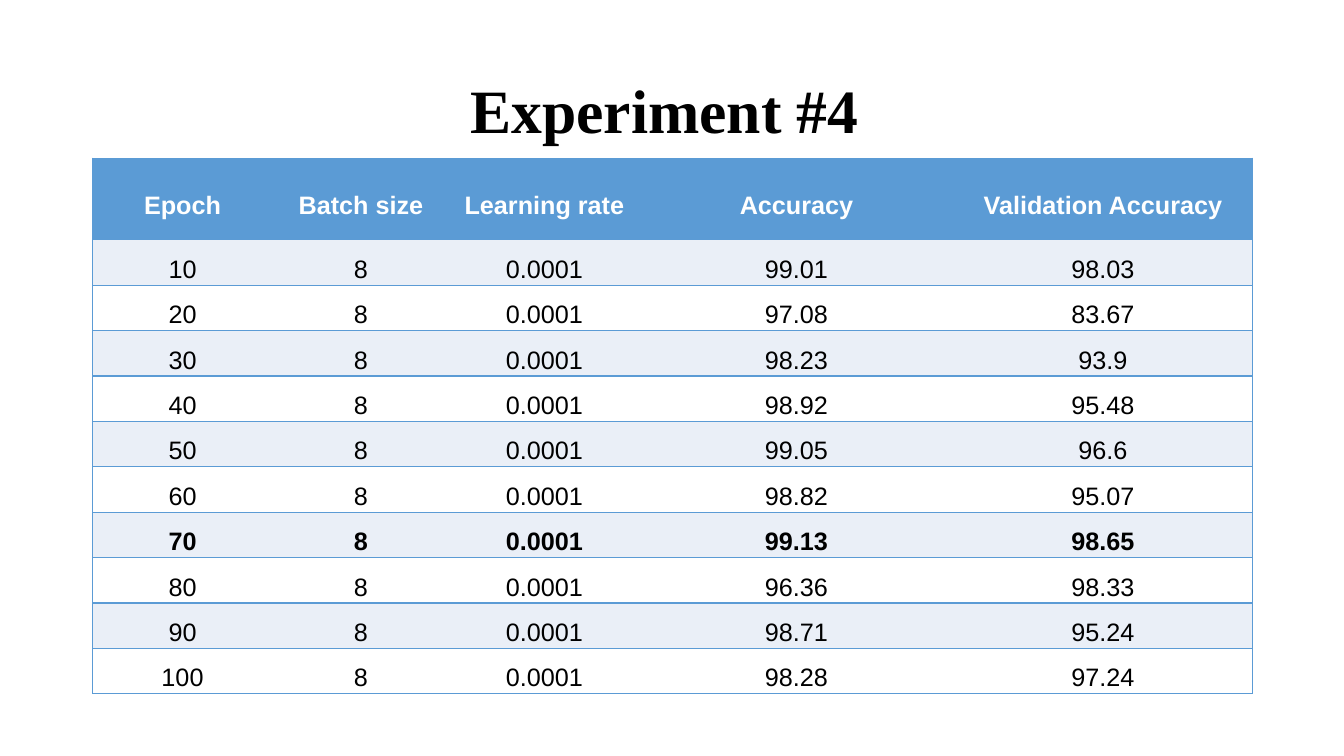
"""Build the slide with the results of experiment 4."""
from dataclasses import dataclass

from lxml import etree
from pptx import Presentation
from pptx.dml.color import RGBColor
from pptx.enum.text import MSO_ANCHOR, PP_ALIGN
from pptx.oxml.ns import qn
from pptx.slide import Slide
from pptx.table import Table, _Cell
from pptx.text.text import TextFrame
from pptx.util import Inches, Pt

MID = MSO_ANCHOR.MIDDLE
CENTER = PP_ALIGN.CENTER
BLUE = RGBColor(0x5B, 0x9B, 0xD5)
PALE = RGBColor(0xEA, 0xEF, 0xF7)
WHITE = RGBColor(0xFF, 0xFF, 0xFF)
BLACK = RGBColor(0, 0, 0)

LEFT, WIDTH = 0.92, 11.5
WIDTHS = (1.78, 1.76, 1.88, 3.12, 2.96)
HEAD_H, ROW_H = 0.81, 0.43
HEADS = ("Epoch", "Batch size", "Learning rate", "Accuracy", "Validation Accuracy")
BATCH, RATE = "8", "0.0001"
BEST = 70


@dataclass(frozen=True)
class Trial:
    """One measured row."""
    epoch: int
    acc: float
    val: float

    def cells(self) -> tuple[str, ...]:
        """Return the row as cell texts."""
        return str(self.epoch), BATCH, RATE, str(self.acc), str(self.val)


@dataclass(frozen=True)
class Look:
    """Font settings of a text."""
    font: str
    size: float
    color: RGBColor
    bold: bool
    lead: float
    after: float = 0


TRIALS = (
    Trial(10, 99.01, 98.03),
    Trial(20, 97.08, 83.67),
    Trial(30, 98.23, 93.9),
    Trial(40, 98.92, 95.48),
    Trial(50, 99.05, 96.6),
    Trial(60, 98.82, 95.07),
    Trial(70, 99.13, 98.65),
    Trial(80, 96.36, 98.33),
    Trial(90, 98.71, 95.24),
    Trial(100, 98.28, 97.24),
)
TITLE = Look("Times New Roman", 44, BLACK, True, 0.9)
HEAD = Look("Arial", 18, WHITE, True, 1.5, 5.3)
BODY = Look("Arial", 18, BLACK, False, 1.5, 5.3)
STRONG = Look("Arial", 18, BLACK, True, 1.5, 5.3)


def write(frame: TextFrame, text: str, look: Look) -> None:
    """Put one centred, styled paragraph into a frame."""
    frame.text = text
    para = frame.paragraphs[0]
    para.alignment = CENTER
    para.line_spacing = look.lead
    para.space_before = Pt(0)
    para.space_after = Pt(look.after)
    font = para.runs[0].font
    font.name, font.size, font.bold = look.font, Pt(look.size), look.bold
    font.color.rgb = look.color


def edge(cell: _Cell, sides: str) -> None:
    """Draw blue borders on the given sides and clear the others."""
    props = cell._tc.get_or_add_tcPr()
    for spot, side in enumerate("LRTB"):
        line = etree.Element(qn(f"a:ln{side}"), w=str(Pt(1)))
        if side in sides:
            fill = etree.SubElement(line, qn("a:solidFill"))
            etree.SubElement(fill, qn("a:srgbClr"), val=str(BLUE))
        else:
            etree.SubElement(line, qn("a:noFill"))
        props.insert(spot, line)


def add_row(table: Table, row: int, texts: tuple[str, ...], look: Look, fill: RGBColor) -> None:
    """Fill one table row."""
    last = len(texts) - 1
    for col, text in enumerate(texts):
        cell = table.cell(row, col)
        cell.margin_left = cell.margin_right = Inches(0.07)
        cell.margin_top = cell.margin_bottom = 0
        cell.vertical_anchor = MID
        cell.fill.solid()
        cell.fill.fore_color.rgb = fill
        write(cell.text_frame, text, look)
        edge(cell, "TB" + ("L" if col == 0 else "") + ("R" if col == last else ""))


def add_title(slide: Slide) -> None:
    """Add the heading."""
    box = slide.shapes.add_textbox(Inches(LEFT), Inches(0.4), Inches(WIDTH), Inches(1.45))
    frame = box.text_frame
    frame.word_wrap = True
    frame.vertical_anchor = MID
    write(frame, "Experiment #4 ", TITLE)


def add_grid(slide: Slide) -> None:
    """Add the results table."""
    high = HEAD_H + ROW_H * len(TRIALS)
    table = slide.shapes.add_table(
        len(TRIALS) + 1, len(HEADS), Inches(LEFT), Inches(1.57), Inches(WIDTH), Inches(high)
    ).table
    for col, width in zip(table.columns, WIDTHS):
        col.width = Inches(width)
    for num, row in enumerate(table.rows):
        row.height = Inches(ROW_H if num else HEAD_H)
    add_row(table, 0, HEADS, HEAD, BLUE)
    for num, trial in enumerate(TRIALS, 1):
        look = STRONG if trial.epoch == BEST else BODY
        add_row(table, num, trial.cells(), look, PALE if num % 2 else WHITE)


def main() -> None:
    """Build and save the deck."""
    deck = Presentation()
    deck.slide_width, deck.slide_height = Inches(13.33), Inches(7.5)
    slide = deck.slides.add_slide(deck.slide_layouts[6])
    add_title(slide)
    add_grid(slide)
    deck.save("out.pptx")


if __name__ == "__main__":
    main()
